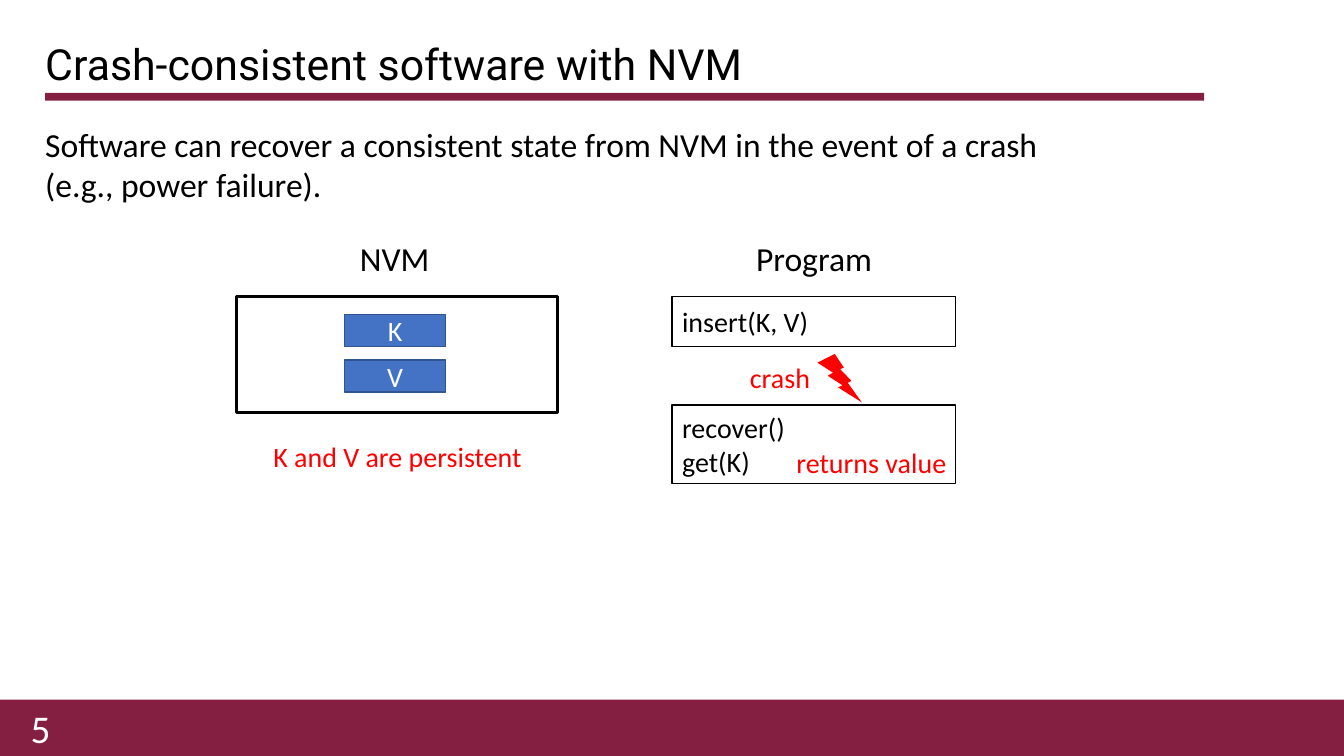
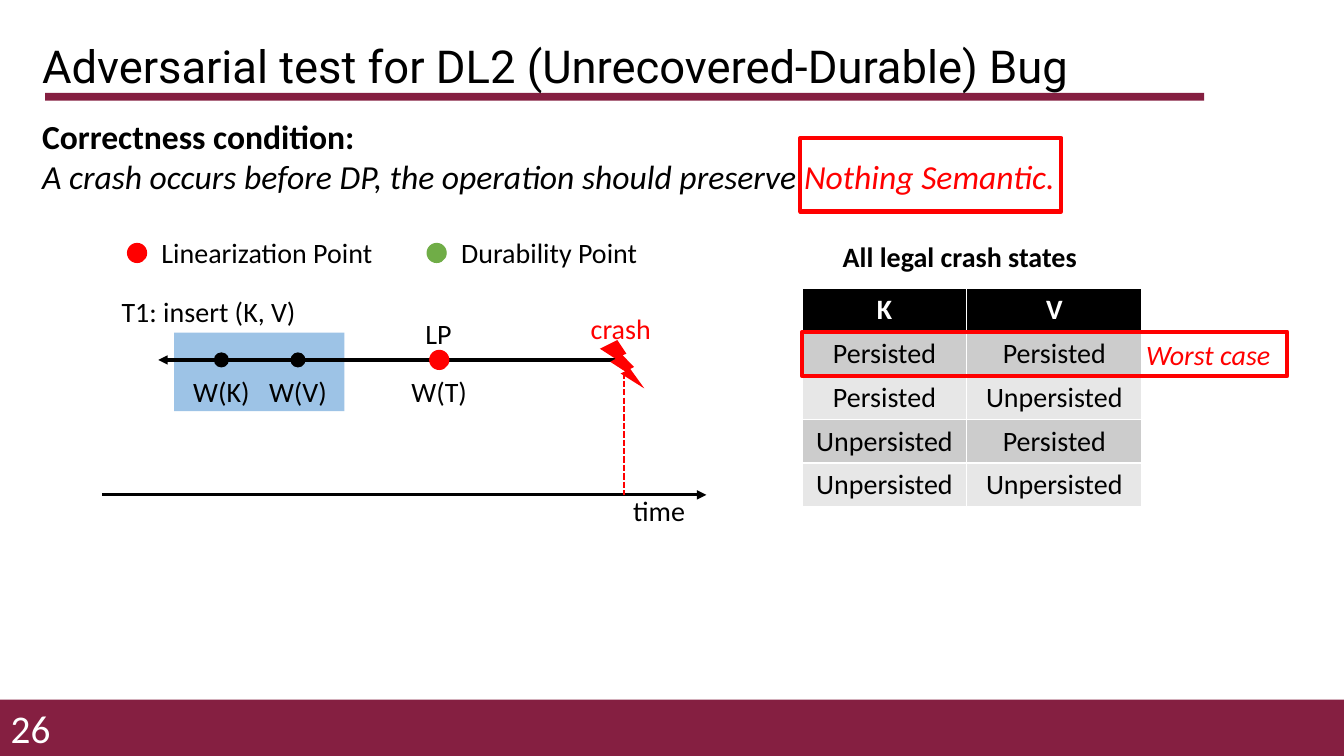
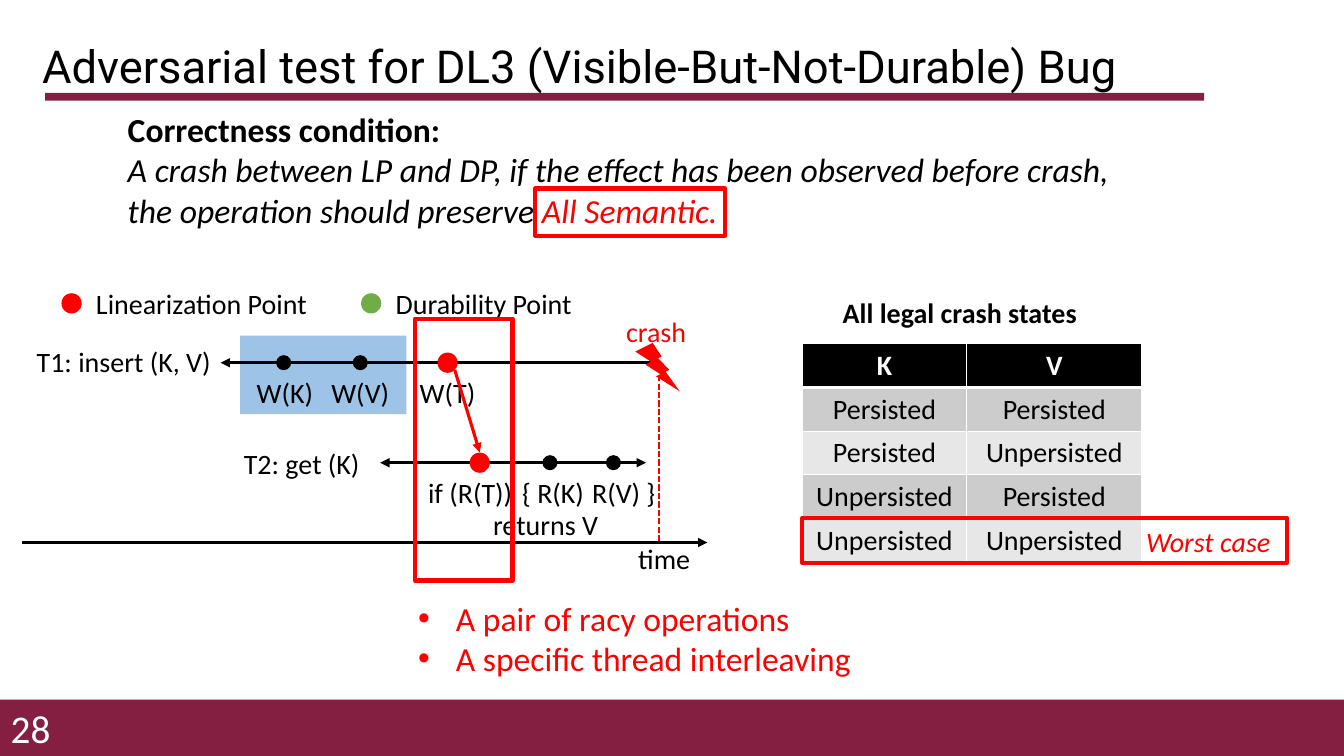
from dataclasses import dataclass

from lxml import etree
from pptx import Presentation
from pptx.dml.color import RGBColor
from pptx.enum.dml import MSO_LINE
from pptx.enum.shapes import MSO_CONNECTOR, MSO_SHAPE
from pptx.enum.text import MSO_ANCHOR, PP_ALIGN
from pptx.oxml.ns import qn
from pptx.util import Cm, Pt

RECT, OVAL, BOLT = MSO_SHAPE.RECTANGLE, MSO_SHAPE.OVAL, MSO_SHAPE.LIGHTNING_BOLT
STRAIGHT, DASH = MSO_CONNECTOR.STRAIGHT, MSO_LINE.SQUARE_DOT
LEFT, CENTER, RIGHT = PP_ALIGN.LEFT, PP_ALIGN.CENTER, PP_ALIGN.RIGHT
TOP, MIDDLE = MSO_ANCHOR.TOP, MSO_ANCHOR.MIDDLE


@dataclass(frozen=True)
class Theme:
    maroon: str = "851F41"
    black: str = "000000"
    white: str = "FFFFFF"
    red: str = "FF0000"
    green: str = "70AD47"
    blue: str = "4472C4"
    blue_edge: str = "325491"
    pale_blue: str = "9DC3E6"
    bands: tuple = ("CCCCCC", "E7E7E7")
    title_font: str = "Roboto"
    body_font: str = "Calibri"
    number: float = 28
    body: float = 24
    label: float = 20


THEME = Theme()
SLIDE_WIDTH, SLIDE_HEIGHT = 33.87, 19.05
LINE_HEIGHT = 1.12  # height of a one-line label
ROW_HEIGHT = 1.1
BIG_DOT, SMALL_DOT = 0.51, 0.38

# Content: places are (left, top, width, height) in centimetres
INTRO = ["Software can recover a consistent state from NVM in the event of a crash",
         "(e.g., power failure)."]
STORED = ["K", "V"]
PROGRAM = [((16.94, 7.47, 7.14, 1.27), ["insert(K, V)"]),
           ((16.94, 10.21, 7.14, 1.98), ["recover()", "get(K)"])]
CAPTIONS = [  # place, text, size, colour
    ((8.74, 5.87, 2.41, 1.27), "NVM", THEME.body, THEME.black),
    ((18.52, 5.87, 3.99, 1.27), "Program", THEME.body, THEME.black),
    ((19.61, 11.1, 4.7, LINE_HEIGHT), "returns value", THEME.label, THEME.red),
    ((4.9, 10.95, 10.24, LINE_HEIGHT), "K and V are persistent", THEME.label, THEME.red),
]

LEGEND = [("Linearization Point", THEME.red), ("Durability Point", THEME.green)]
CRASH_STATES = [("K", "V"),
                ("Persisted", "Persisted"), ("Persisted", "Unpersisted"),
                ("Unpersisted", "Persisted"), ("Unpersisted", "Unpersisted")]
COLUMN_WIDTHS = (4.14, 4.42)
HEADING = ("Correctness condition:", {"bold": True})

# Thread events: label, dot centre, label centre, is a linearization point
DL2 = dict(
    condition=((0.81, 2.79, 30.71, 2.31), [
        [HEADING],
        [("A crash occurs before DP, the operation should preserve ", {"italic": True}),
         ("Nothing Semantic.", {"italic": True, "color": THEME.red})]]),
    semantic=(20.17, 3.48, 6.58, 1.85),
    legend=(3.2, 6.12), window=(4.39, 8.38, 4.29, 1.98),
    axis=(2.57, 17.8, 12.47), time_left=15.57,
    names=[((2.72, 7.29, 5.08, LINE_HEIGHT), "T1: insert (K, V)")],
    threads=[dict(span=(3.99, 15.72), y=9.07, label_gap=0.25, tail=False, events=[
        ("W(K)", 5.58, 5.58, False), ("W(V)", 7.51, 7.51, False),
        ("W(T)", 11.07, 11.07, True)])],
    crash_x=15.72, table_top=7.26, worst_row=1,
)
DL3 = dict(
    condition=((2.97, 2.62, 25.83, 3.33), [
        [HEADING],
        [("A crash between LP and DP, if the effect has been observed before crash,",
          {"italic": True})],
        [("the operation should preserve ", {"italic": True}),
         ("All Semantic.", {"italic": True, "color": THEME.red})]]),
    semantic=(13.49, 4.75, 4.78, 1.19),
    legend=(1.55, 7.39), window=(6.05, 8.46, 4.19, 1.98),
    axis=(0.56, 17.83, 13.67), time_left=15.7,
    names=[((0.58, 8.56, 5.08, LINE_HEIGHT), "T1: insert (K, V)"),
           ((5.51, 11.13, 4.19, LINE_HEIGHT), "T2: get (K)"),
           ((10.46, 12.67, 6.58, LINE_HEIGHT), "returns V")],
    threads=[dict(span=(5.56, 16.51), y=9.14, label_gap=0.2, tail=False, events=[
        ("W(K)", 7.15, 7.18, False), ("W(V)", 9.08, 9.08, False),
        ("W(T)", 11.28, 11.28, True)]),
        dict(span=(9.58, 16.28), y=11.66, label_gap=0.2, tail=True, events=[
            ("if (R(T))", 12.09, 11.85, True), ("{ R(K)", 13.86, 13.94, False),
            ("R(V) }", 15.46, 15.72, False)])],
    crash_x=16.61, table_top=8.66, worst_row=4,
)
RACE_ARROW = ((11.46, 9.32), (12.09, 11.4))
RACE_WINDOW = (10.46, 8.03, 2.46, 6.6)
RACE_NOTES = ["A pair of racy operations", "A specific thread interleaving"]


# Drawing helpers
def style_span(span, size=THEME.label, color=THEME.black, font=THEME.body_font,
               bold=False, italic=False):
    values = {"name": font, "size": Pt(size), "bold": bold, "italic": italic}
    for name, value in values.items():
        setattr(span.font, name, value)
    span.font.color.rgb = RGBColor.from_string(color)


def write(box, paras, align=LEFT, anchor=TOP, spacing=None, bullet=False, **style):
    """Each paragraph is a string or a list of (text, style) spans."""
    frame = box.text_frame
    frame.word_wrap = True
    frame.vertical_anchor = anchor
    for index, content in enumerate(paras):
        para = frame.add_paragraph() if index else frame.paragraphs[0]
        para.alignment = align
        if spacing:
            para.line_spacing = spacing
        if bullet:
            properties = para._p.get_or_add_pPr()
            properties.set("marL", str(Cm(0.95)))
            properties.set("indent", str(-Cm(0.95)))
            etree.SubElement(properties, qn("a:buFont")).set("typeface", "Arial")
            etree.SubElement(properties, qn("a:buChar")).set("char", "•")
        for text, extra in [(content, {})] if isinstance(content, str) else content:
            span = para.add_run()
            span.text = text
            style_span(span, **{**style, **extra})


def add_text(page, place, paras, **style):
    box = page.shapes.add_textbox(*map(Cm, place))
    write(box, paras, **style)
    return box


def add_box(page, place, fill=None, line=None, width=1, kind=RECT):
    box = page.shapes.add_shape(kind, *map(Cm, place))
    box.shadow.inherit = False
    if fill:
        box.fill.solid()
        box.fill.fore_color.rgb = RGBColor.from_string(fill)
    else:
        box.fill.background()
    if line:
        box.line.color.rgb = RGBColor.from_string(line)
        box.line.width = Pt(width)
    else:
        box.line.fill.background()
    return box


def add_dot(page, x, y, size, color):
    add_box(page, (x - size / 2, y - size / 2, size, size), color, kind=OVAL)


def add_frame(page, place):
    add_box(page, place, line=THEME.red, width=3)


def add_line(page, start, end, color=THEME.black, width=2.25, dash=None, head=False, tail=False):
    line = page.shapes.add_connector(STRAIGHT, *map(Cm, start + end))
    line.line.color.rgb = RGBColor.from_string(color)
    line.line.width = Pt(width)
    if dash:
        line.line.dash_style = dash
    for tag, wanted in (("a:headEnd", head), ("a:tailEnd", tail)):
        if wanted:
            etree.SubElement(line.line._get_or_add_ln(), qn(tag)).set("type", "triangle")
    etree.SubElement(line._element.spPr, qn("a:effectLst"))


def add_crash(page, left, top, label_shift):
    add_box(page, (left, top, 1.12, 1.22), THEME.red, kind=BOLT)
    add_text(page, (left + label_shift[0], top + label_shift[1], 2.11, LINE_HEIGHT),
             ["crash"], align=CENTER, color=THEME.red)


def set_borders(cell, bottom):
    properties = cell._tc.get_or_add_tcPr()
    for side, width in (("L", 1), ("R", 1), ("T", 1), ("B", bottom)):
        edge = etree.SubElement(properties, qn("a:ln" + side), w=str(Pt(width)))
        fill = etree.SubElement(edge, qn("a:solidFill"))
        etree.SubElement(fill, qn("a:srgbClr"), val=THEME.white)


def add_page(deck, title, number, left=0.81, top=1.02, size=32.4):
    page = deck.slides.add_slide(deck.slide_layouts[6])
    add_box(page, (0, 17.63, SLIDE_WIDTH, 1.42), THEME.maroon)
    add_box(page, (1.14, 2.34, 29.21, 0.2), THEME.maroon)
    add_text(page, (left, top, 31.8, 1.42), [title], anchor=MIDDLE, spacing=0.9,
             size=size, font=THEME.title_font)
    box = add_text(page, (0, 17.83, 1.52, 1.02), [str(number)], align=RIGHT,
                   anchor=MIDDLE, size=THEME.number, color=THEME.white)
    box.text_frame.margin_left = 0
    return page


# Parts of the adversarial test slides
def add_legend(page, left, top):
    for index, (label, color) in enumerate(LEGEND):
        x = left + index * 7.55
        add_box(page, (x, top, BIG_DOT, BIG_DOT), color, kind=OVAL)
        add_text(page, (x + 0.62, top - 0.3, 6.2, LINE_HEIGHT), [label])


def add_thread(page, span, y, label_gap, tail, events):
    add_line(page, (span[0], y), (span[1], y), head=True, tail=tail)
    for label, dot_x, label_x, linearizes in events:
        size, color = (BIG_DOT, THEME.red) if linearizes else (SMALL_DOT, THEME.black)
        add_dot(page, dot_x, y, size, color)
        add_text(page, (label_x - 1.6, y + label_gap, 3.2, LINE_HEIGHT), [label], align=CENTER)


def add_crash_states(page, top, worst_row):
    left = 20.22
    add_text(page, (20.7, top - 1.35, 6.98, LINE_HEIGHT), ["All legal crash states"],
             align=CENTER, bold=True)
    table = page.shapes.add_table(
        len(CRASH_STATES), len(COLUMN_WIDTHS), Cm(left), Cm(top),
        Cm(sum(COLUMN_WIDTHS)), Cm(ROW_HEIGHT * len(CRASH_STATES))).table
    for column, width in zip(table.columns, COLUMN_WIDTHS):
        column.width = Cm(width)
    for r, states in enumerate(CRASH_STATES):
        table.rows[r].height = Cm(ROW_HEIGHT)
        for c, state in enumerate(states):
            cell = table.cell(r, c)
            set_borders(cell, bottom=1 if r else 3)
            cell.fill.solid()
            fill = THEME.bands[(r - 1) % 2] if r else THEME.black
            cell.fill.fore_color.rgb = RGBColor.from_string(fill)
            para = cell.text_frame.paragraphs[0]
            para.alignment = CENTER
            span = para.add_run()
            span.text = state
            style_span(span, color=THEME.black if r else THEME.white, bold=r == 0)
    worst_top = top + worst_row * ROW_HEIGHT
    add_frame(page, (left, worst_top, 12.22, LINE_HEIGHT))
    add_text(page, (28.47, worst_top + 0.03, 3.96, LINE_HEIGHT), ["Worst case"],
             align=CENTER, color=THEME.red, italic=True)


def add_test(page, test):
    place, paras = test["condition"]
    add_text(page, place, paras, size=THEME.body)
    add_legend(page, *test["legend"])
    add_box(page, test["window"], THEME.pale_blue)
    start, end, axis_y = test["axis"]
    add_line(page, (start, axis_y), (end, axis_y), tail=True)
    add_text(page, (test["time_left"], axis_y - 0.15, 2.08, LINE_HEIGHT), ["time"], align=CENTER)
    for place, name in test["names"]:
        add_text(page, place, [name], align=CENTER)
    for thread in test["threads"]:
        add_thread(page, **thread)
    crash_x, crash_y = test["crash_x"], test["threads"][0]["y"]
    add_line(page, (crash_x, crash_y + 0.1), (crash_x, axis_y), THEME.red, 1.5, DASH)
    add_crash(page, crash_x - 0.6, crash_y - 0.5, (-0.53, -0.84))
    add_crash_states(page, test["table_top"], test["worst_row"])
    add_frame(page, test["semantic"])


# Slides
def build_software(deck):
    page = add_page(deck, "Crash-consistent software with NVM", 5, 0.89, 0.97, 30.6)
    add_text(page, (0.89, 3, 31.83, 2.31), INTRO, size=THEME.body)
    add_box(page, (5.97, 7.47, 8.08, 2.92), THEME.white, THEME.black, 2.25)
    for index, item in enumerate(STORED):
        box = add_box(page, (8.69, 7.92 + index * 1.15, 2.54, 0.81), THEME.blue, THEME.blue_edge)
        write(box, [item], align=CENTER, anchor=MIDDLE, color=THEME.white)
    for place, calls in PROGRAM:
        write(add_box(page, place, THEME.white, THEME.black), calls, anchor=MIDDLE)
    add_crash(page, 20.6, 8.92, (-2, 0.05))
    for place, caption, size, color in CAPTIONS:
        add_text(page, place, [caption], align=CENTER, anchor=MIDDLE, size=size, color=color)


def build_unrecovered(deck):
    page = add_page(deck, "Adversarial test for DL2 (Unrecovered-Durable) Bug", 26)
    add_test(page, DL2)
    add_text(page, (10.34, 7.85, 1.42, LINE_HEIGHT), ["LP"], align=CENTER)


def build_visible(deck):
    page = add_page(deck, "Adversarial test for DL3 (Visible-But-Not-Durable) Bug", 28)
    add_test(page, DL3)
    add_line(page, *RACE_ARROW, color=THEME.red, tail=True)
    add_frame(page, RACE_WINDOW)
    add_text(page, (10.29, 14.94, 11.96, 2.31), RACE_NOTES, bullet=True,
             size=THEME.body, color=THEME.red)


def main():
    deck = Presentation()
    deck.slide_width, deck.slide_height = Cm(SLIDE_WIDTH), Cm(SLIDE_HEIGHT)
    for build in (build_software, build_unrecovered, build_visible):
        build(deck)
    deck.save("out.pptx")


if __name__ == "__main__":
    main()
